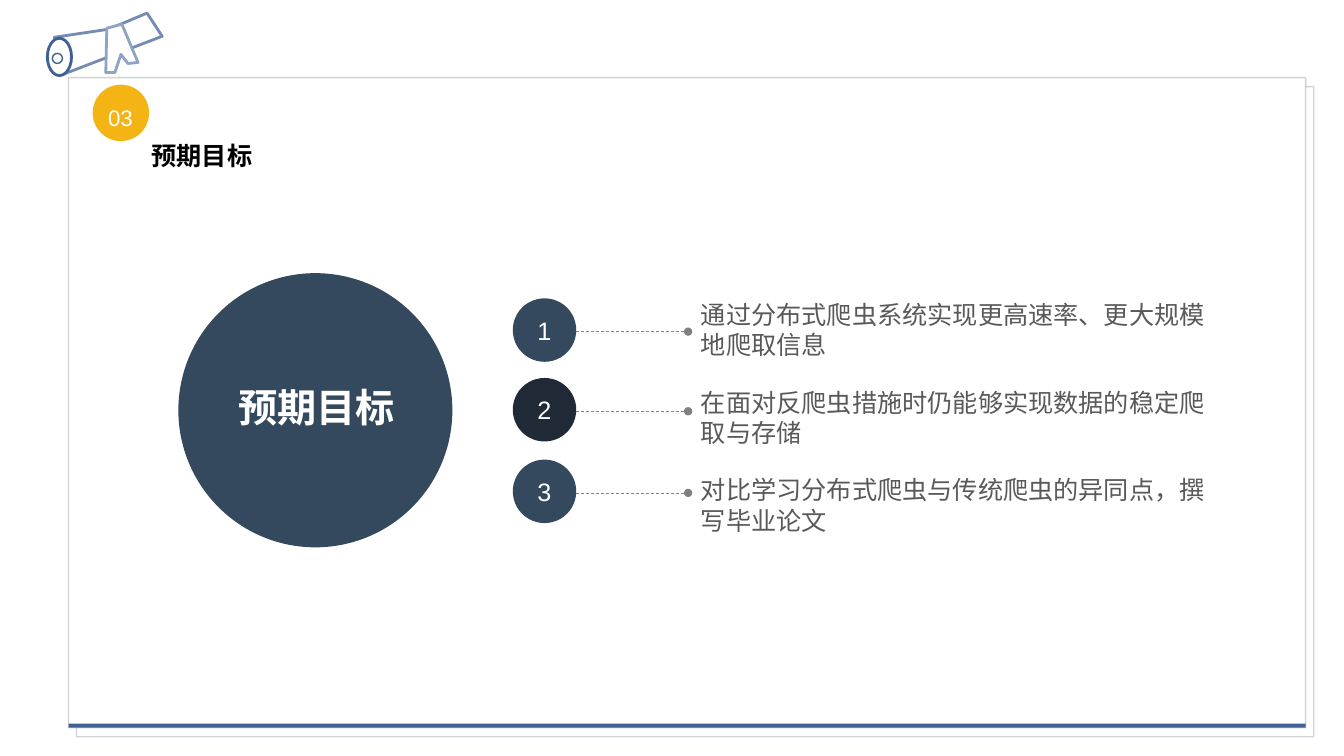
from dataclasses import dataclass

from lxml.etree import SubElement
from pptx import Presentation
from pptx.dml.color import RGBColor
from pptx.enum.dml import MSO_LINE
from pptx.enum.shapes import MSO_CONNECTOR, MSO_SHAPE
from pptx.enum.text import MSO_ANCHOR, MSO_AUTO_SIZE, PP_ALIGN
from pptx.oxml.ns import qn
from pptx.util import Pt

PX = 9144


@dataclass(frozen=True)
class Theme:
    font: str = "Arial"
    white: str = "FFFFFF"
    black: str = "000000"
    text: str = "595959"
    border: str = "576270"
    border_alpha: str = "27000"
    blue: str = "406196"
    roll: str = "748BB4"
    ribbon: str = "91A3C5"
    gold: str = "F4B414"
    slate: str = "34495E"
    navy: str = "202A36"
    leader: str = "808080"
    badge_size: int = 16
    body_size: int = 18
    hub_size: int = 28


THEME = Theme()

GOALS = [
    (296, THEME.slate, "通过分布式爬虫系统实现更高速率、更大规模地爬取信息"),
    (375, THEME.navy, "在面对反爬虫措施时仍能够实现数据的稳定爬取与存储"),
    (456, THEME.slate, "对比学习分布式爬虫与传统爬虫的异同点，撰写毕业论文"),
]

ROLL = [(54, 37), (108, 29), (146, 13), (161, 36), (62, 74)]
RIBBON = [(106, 28), (121, 24), (137, 62), (127, 63), (120, 54), (114, 72), (105, 72)]


def color(code):
    return RGBColor.from_string(code)


def scaled(*lengths):
    return [length * PX for length in lengths]


def paint(shape, fill, line=None, width=1):
    shape.shadow.inherit = False
    shape.fill.solid()
    shape.fill.fore_color.rgb = color(fill)
    if line:
        shape.line.color.rgb = color(line)
        shape.line.width = Pt(width)
    else:
        shape.line.fill.background()
    return shape


def add_filled(page, kind, bounds, fill, line=None, width=1):
    shape = page.shapes.add_shape(kind, *scaled(*bounds))
    return paint(shape, fill, line, width)


def add_outline(page, points, line):
    builder = page.shapes.build_freeform(*points[0], scale=PX)
    builder.add_line_segments(points[1:], close=True)
    paint(builder.convert_to_shape(), THEME.white, line, 2)


def write(shape, text, size, ink, bold=False, align=PP_ALIGN.CENTER,
          anchor=MSO_ANCHOR.TOP, wrap=True):
    frame = shape.text_frame
    frame.auto_size = MSO_AUTO_SIZE.NONE
    frame.word_wrap = wrap
    frame.vertical_anchor = anchor
    para = frame.paragraphs[0]
    para.alignment = align
    span = para.add_run()
    span.text = text
    span.font.name = THEME.font
    span.font.size = Pt(size)
    span.font.bold = bold
    span.font.color.rgb = color(ink)
    return para


def add_text(page, bounds, text, size, ink, **style):
    box = page.shapes.add_textbox(*scaled(*bounds))
    return write(box, text, size, ink, **style)


def add_scroll(page):
    add_outline(page, ROLL, THEME.roll)
    add_filled(page, MSO_SHAPE.OVAL, (47, 38, 24, 37), THEME.white, THEME.blue, 2)
    add_filled(page, MSO_SHAPE.OVAL, (52, 53, 10, 10), THEME.white, THEME.blue, 1)
    add_outline(page, RIBBON, THEME.ribbon)


def add_sheets(page):
    for left, top in ((76, 86), (68, 77)):
        sheet = add_filled(page, MSO_SHAPE.RECTANGLE, (left, top, 1228, 645),
                           THEME.white, THEME.border)
        outline = sheet.element.spPr.find(qn("a:ln"))
        SubElement(outline.find(".//" + qn("a:srgbClr")), qn("a:alpha"),
                   val=THEME.border_alpha)
    add_scroll(page)
    add_filled(page, MSO_SHAPE.RECTANGLE, (68, 718, 1228, 4), THEME.blue)


def add_heading(page):
    title = page.shapes.title
    title.left, title.top, title.width, title.height = scaled(140, 134, 121, 40)
    para = write(title, "预期目标", THEME.body_size, THEME.black, bold=True, wrap=False)
    para.space_before = Pt(5)
    title.element.getparent().append(title.element)
    add_filled(page, MSO_SHAPE.OVAL, (92, 84, 56, 56), THEME.gold)
    number = add_text(page, (97, 90, 45, 41), "03", THEME.badge_size, THEME.white,
                      wrap=False)
    number.line_spacing = 1.3


def add_hub(page):
    add_filled(page, MSO_SHAPE.OVAL, (177, 271, 272, 272), THEME.slate)
    label = add_text(page, (217, 375, 195, 57), "预期目标", THEME.hub_size,
                     THEME.white, bold=True)
    label.space_before = Pt(5)


def add_leader(page, height):
    leader = page.shapes.add_connector(MSO_CONNECTOR.STRAIGHT,
                                       *scaled(572, height, 683, height))
    leader.line.color.rgb = color(THEME.leader)
    leader.line.width = Pt(0.5)
    leader.line.dash_style = MSO_LINE.DASH
    properties = leader.element.spPr
    SubElement(properties.find(qn("a:ln")), qn("a:tailEnd"), type="oval")
    SubElement(properties, qn("a:effectLst"))


def add_goal(page, index, circle_top, fill, text):
    circle = add_filled(page, MSO_SHAPE.OVAL, (509, circle_top, 63, 63), fill)
    write(circle, str(index + 1), THEME.body_size, THEME.white,
          anchor=MSO_ANCHOR.MIDDLE)
    add_leader(page, circle_top + 33)
    add_text(page, (686, 292 + 87 * index, 524, 87), text, THEME.body_size,
             THEME.text, align=PP_ALIGN.LEFT)


def main():
    deck = Presentation()
    deck.slide_width, deck.slide_height = scaled(1334, 750)
    page = deck.slides.add_slide(deck.slide_layouts[5])
    add_sheets(page)
    add_heading(page)
    add_hub(page)
    for index, goal in enumerate(GOALS):
        add_goal(page, index, *goal)
    deck.save("out.pptx")


if __name__ == "__main__":
    main()
